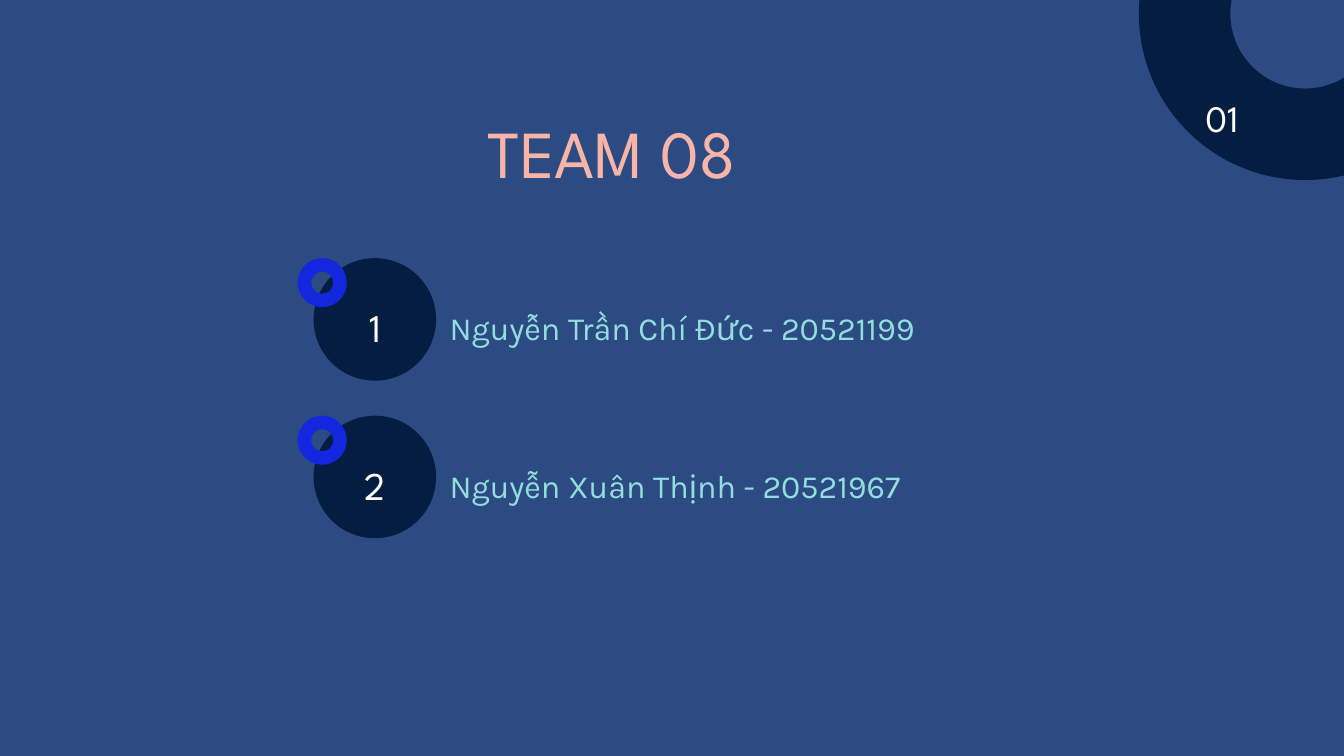
from pptx import Presentation
from pptx.dml.color import RGBColor
from pptx.enum.shapes import MSO_SHAPE as Shape
from pptx.enum.text import MSO_AUTO_SIZE as AutoSize, PP_ALIGN as Align
from pptx.util import Pt

# Content
TITLE = "TEAM 08"
PAGE = "01"
MEMBERS = [
    ("1", "Nguyễn Trần Chí Đức - 20521199"),
    ("2", "Nguyễn Xuân Thịnh - 20521967"),
]

# Colours
BLUE = RGBColor(0x2B, 0x4B, 0x82)
NAVY = RGBColor(0x05, 0x1D, 0x40)
VIVID = RGBColor(0x13, 0x27, 0xDF)
PINK = RGBColor(0xF7, 0xB4, 0xA7)
AQUA = RGBColor(0x94, 0xDD, 0xDE)
WHITE = RGBColor(0xFF, 0xFF, 0xFF)

# Text styles: font attributes, line spacing, alignment
TITLE_STYLE = ({"name": "League Spartan", "size": Pt(72)}, PINK, 100.8, Align.CENTER)
NUMBER_STYLE = ({"name": "League Spartan", "size": Pt(42)}, WHITE, 58.8, Align.CENTER)
PAGE_STYLE = ({"name": "League Spartan", "size": Pt(40)}, WHITE, 56, Align.CENTER)
NAME_STYLE = ({"name": "Karla", "size": Pt(34.6)}, AQUA, 48.5, Align.LEFT)

# Layout in points
ROW_TOP, ROW_PITCH = 276.6, 168.8
BADGE, RING = 131.3, 52.5
RING_BAND = 0.275  # band width as a share of the ring's diameter


def add_round(shapes, kind, left, top, size, color):
    round_shape = shapes.add_shape(kind, Pt(left), Pt(top), Pt(size), Pt(size))
    round_shape.shadow.inherit = False
    round_shape.fill.solid()
    round_shape.fill.fore_color.rgb = color
    round_shape.line.fill.background()
    if kind == Shape.DONUT:
        round_shape.adjustments[0] = RING_BAND


def add_label(shapes, words, left, top, width, height, style):
    font_values, color, spacing, align = style
    frame = shapes.add_textbox(Pt(left), Pt(top), Pt(width), Pt(height)).text_frame
    for side in ("left", "top", "right", "bottom"):
        setattr(frame, f"margin_{side}", 0)
    frame.word_wrap = True
    frame.auto_size = AutoSize.SHAPE_TO_FIT_TEXT
    paragraph = frame.paragraphs[0]
    paragraph.alignment = align
    paragraph.line_spacing = Pt(spacing)
    run = paragraph.add_run()
    run.text = words
    for attribute, value in font_values.items():
        setattr(run.font, attribute, value)
    run.font.color.rgb = color


deck = Presentation()
deck.slide_width, deck.slide_height = Pt(1440), Pt(810)
slide = deck.slides.add_slide(deck.slide_layouts[6])
slide.background.fill.solid()
slide.background.fill.fore_color.rgb = BLUE

# Title
add_label(slide.shapes, TITLE, 108, 105.1, 1095.1, 96.5, TITLE_STYLE)

# Team members: badge, ring, number and name in each row
for row, (number, name) in enumerate(MEMBERS):
    top = ROW_TOP + row * ROW_PITCH
    member = slide.shapes.add_group_shape().shapes
    add_round(member, Shape.OVAL, 336, top, BADGE, NAVY)
    add_round(member, Shape.DONUT, 319, top, RING, VIVID)
    add_label(member, number, 344.2, top + 40.4, 115.9, 54.7, NUMBER_STYLE)
    add_label(member, name, 481.7, top + 46.6, 511.2, 44.6, NAME_STYLE)

# Corner ring with page number
add_round(slide.shapes, Shape.DONUT, 1220.2, -163.5, 356.4, NAVY)
add_label(slide.shapes, PAGE, 1254.2, 94.3, 110.2, 54.7, PAGE_STYLE)

deck.save("out.pptx")
